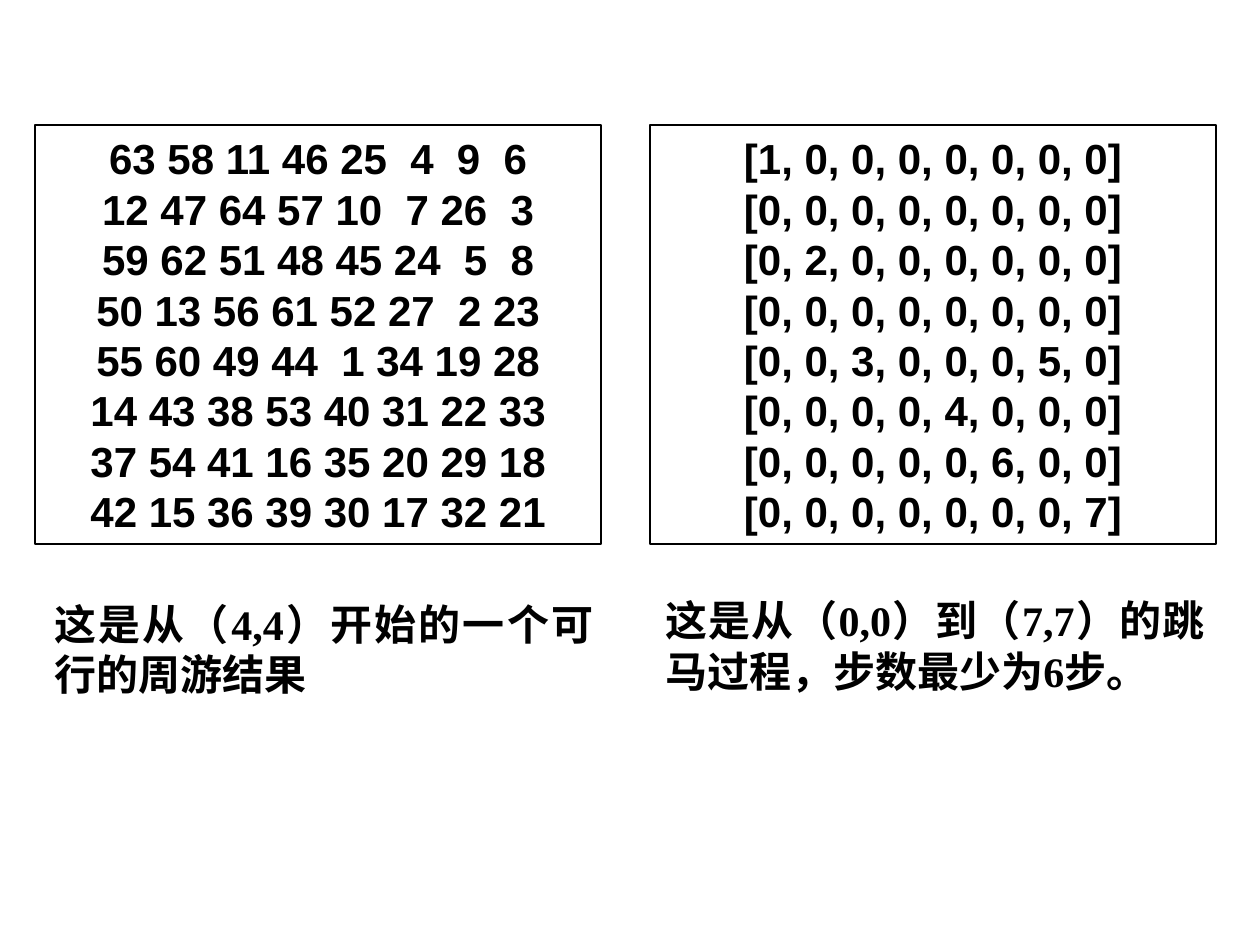
from dataclasses import dataclass

from pptx import Presentation
from pptx.dml.color import RGBColor
from pptx.enum import shapes, text
from pptx.util import Inches, Pt

COLORS = {"ink": "000000"}
FONT_FORMAT = {"size": Pt(24), "bold": True}

TOUR = [
    [63, 58, 11, 46, 25, 4, 9, 6],
    [12, 47, 64, 57, 10, 7, 26, 3],
    [59, 62, 51, 48, 45, 24, 5, 8],
    [50, 13, 56, 61, 52, 27, 2, 23],
    [55, 60, 49, 44, 1, 34, 19, 28],
    [14, 43, 38, 53, 40, 31, 22, 33],
    [37, 54, 41, 16, 35, 20, 29, 18],
    [42, 15, 36, 39, 30, 17, 32, 21],
]
# Squares (row, column) visited by the knight on its shortest route
ROUTE = [(0, 0), (2, 1), (4, 2), (5, 4), (4, 6), (6, 5), (7, 7)]


@dataclass
class Panel:
    left: float
    lines: list[str]
    caption: str
    caption_left: float
    caption_top: float


def tour_lines() -> list[str]:
    return [" ".join(f"{step:2d}" for step in row) for row in TOUR]


def route_lines() -> list[str]:
    board = [[0] * 8 for _ in range(8)]
    for step, (row, column) in enumerate(ROUTE, start=1):
        board[row][column] = step
    return [str(row) for row in board]


def write_lines(frame, lines: list[str], font: str, alignment) -> None:
    frame.word_wrap = True
    frame.auto_size = text.MSO_AUTO_SIZE.SHAPE_TO_FIT_TEXT
    for index, line in enumerate(lines):
        para = frame.add_paragraph() if index else frame.paragraphs[0]
        para.alignment = alignment
        span = para.add_run()
        span.text = line
        span.font.name = font
        span.font.color.rgb = RGBColor.from_string(COLORS["ink"])
        for name, value in FONT_FORMAT.items():
            setattr(span.font, name, value)


def draw_board(page, panel: Panel) -> None:
    box = page.shapes.add_shape(
        shapes.MSO_SHAPE.RECTANGLE,
        Inches(panel.left), Inches(0.99), Inches(4.49), Inches(3.33))
    box.shadow.inherit = False
    box.fill.background()
    box.line.color.rgb = RGBColor.from_string(COLORS["ink"])
    box.line.width = Pt(1)
    write_lines(box.text_frame, panel.lines, "Arial", text.PP_ALIGN.CENTER)


def draw_caption(page, panel: Panel) -> None:
    box = page.shapes.add_textbox(
        Inches(panel.caption_left), Inches(panel.caption_top),
        Inches(4.52), Inches(0.93))
    margins = {"margin_left": 0.12, "margin_top": 0.06,
               "margin_right": 0.12, "margin_bottom": 0.06}
    for name, value in margins.items():
        setattr(box.text_frame, name, Inches(value))
    write_lines(box.text_frame, [panel.caption], "Times New Roman",
                text.PP_ALIGN.JUSTIFY)


def main() -> None:
    deck = Presentation()
    deck.slide_width, deck.slide_height = Inches(10), Inches(7.5)
    page = deck.slides.add_slide(deck.slide_layouts[6])

    panels = [
        Panel(0.28, tour_lines(), "这是从（4,4）开始的一个可行的周游结果",
              0.31, 4.69),
        Panel(5.16, route_lines(),
              "这是从（0,0）到（7,7）的跳马过程，步数最少为6步。", 5.16, 4.66),
    ]
    # Boards first, then the captions below them
    for draw in (draw_board, draw_caption):
        for panel in panels:
            draw(page, panel)

    deck.save("out.pptx")


if __name__ == "__main__":
    main()
